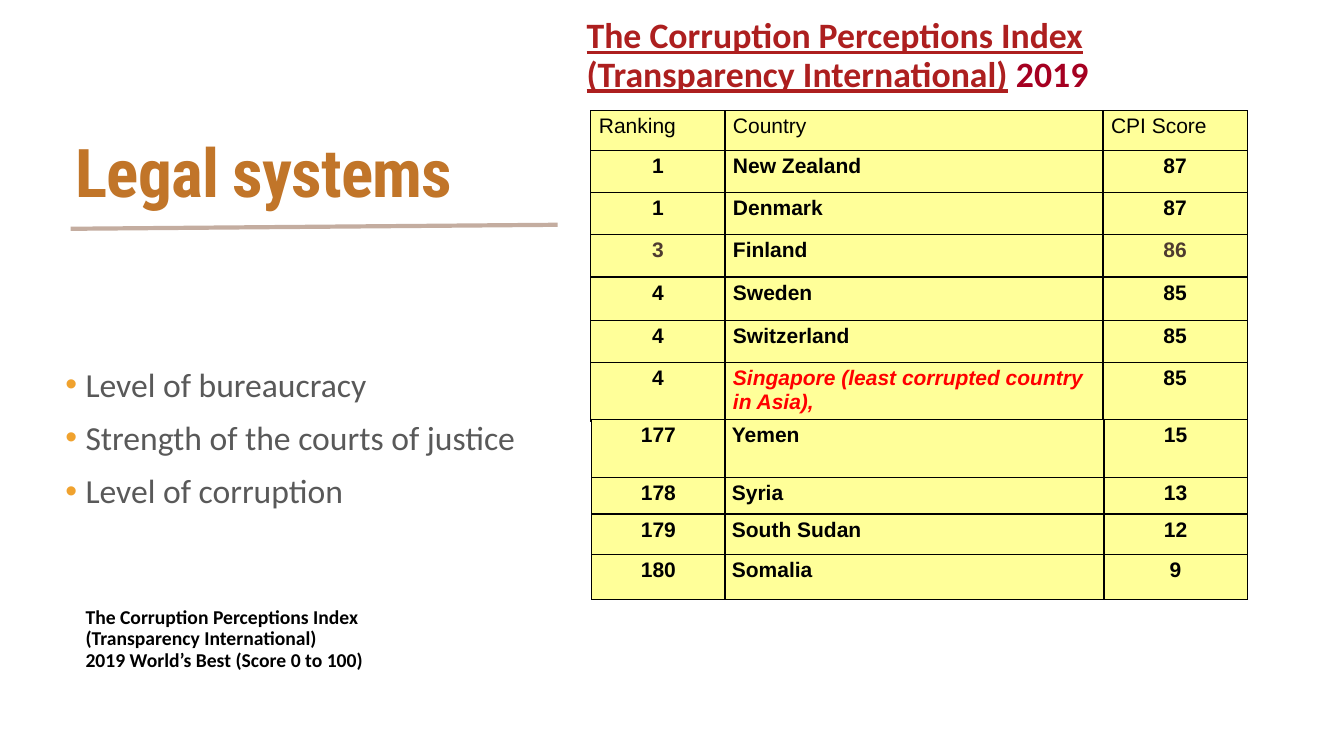
from dataclasses import dataclass

from lxml.etree import SubElement
from pptx import Presentation
from pptx.dml.color import RGBColor
from pptx.enum.shapes import MSO_CONNECTOR
from pptx.enum.text import MSO_ANCHOR, MSO_AUTO_SIZE, PP_ALIGN
from pptx.oxml.ns import qn
from pptx.util import Emu, Pt

PX = 9144
COLORS = {
    "title": "C17529",
    "rule": "C4ADA0",
    "bullet": "F0A22E",
    "body": "595959",
    "black": "000000",
    "link": "AD1F1F",
    "year": "A50021",
    "cell": "FFFF99",
    "brown": "4E3B30",
    "red": "FF0000",
}


@dataclass(frozen=True)
class Box:
    left: int
    top: int
    width: int
    height: int

    def emu(self) -> tuple:
        return tuple(px(v) for v in (self.left, self.top, self.width, self.height))


@dataclass(frozen=True)
class Style:
    size: float
    color: str
    font: str = "Calibri"
    bold: bool = False
    italic: bool = False
    underline: bool = False


@dataclass(frozen=True)
class Country:
    rank: str
    name: str
    score: str
    number_color: str = "black"
    name_color: str = "black"
    bold: bool = True
    italic: bool = False


@dataclass(frozen=True)
class Ranking:
    left: int
    top: int
    cols: tuple
    rows: tuple
    margin: int
    countries: tuple


RANKINGS = (
    Ranking(586, 110, (133, 375, 143), (39, 42, 42, 42, 43, 42, 57), 8, (
        Country("Ranking", "Country", "CPI Score", bold=False),
        Country("1", "New Zealand", "87"),
        Country("1", "Denmark", "87"),
        Country("3", "Finland", "86", number_color="brown"),
        Country("4", "Sweden", "85"),
        Country("4", "Switzerland", "85"),
        Country("4", "Singapore (least corrupted country in Asia),", "85",
                name_color="red", italic=True),
    )),
    Ranking(587, 416, (132, 376, 142), (58, 36, 40, 45), 7, (
        Country("177", "Yemen", "15"),
        Country("178", "Syria", "13"),
        Country("179", "South Sudan", "12"),
        Country("180", "Somalia", "9"),
    )),
)


def px(value: int) -> Emu:
    return Emu(value * PX)


def rgb(name: str) -> RGBColor:
    return RGBColor.from_string(COLORS[name])


def format_run(r, style: Style) -> None:
    f = r.font
    f.size, f.name = Pt(style.size), style.font
    f.bold, f.italic, f.underline = style.bold, style.italic, style.underline
    f.color.rgb = rgb(style.color)


def add_text(slide, box: Box, lines: tuple, style: Style):
    tf = slide.shapes.add_textbox(*box.emu()).text_frame
    tf.word_wrap = True
    for i, line in enumerate(lines):
        p = tf.paragraphs[0] if i == 0 else tf.add_paragraph()
        p.text = line
        p.line_spacing = 0.9
        format_run(p.runs[0], style)
    return tf


def add_bullet(p) -> None:
    pPr = p._p.get_or_add_pPr()
    pPr.set("marL", str(px(20)))
    pPr.set("indent", str(px(-20)))
    color = SubElement(pPr, qn("a:buClr"))
    SubElement(color, qn("a:srgbClr"), val=COLORS["bullet"])
    SubElement(pPr, qn("a:buFont"), typeface="Arial")
    SubElement(pPr, qn("a:buChar"), char="•")


def add_borders(cell) -> None:
    tcPr = cell._tc.get_or_add_tcPr()
    for side in ("lnL", "lnR", "lnT", "lnB"):
        ln = SubElement(tcPr, qn(f"a:{side}"), w=str(Pt(1)))
        fill = SubElement(ln, qn("a:solidFill"))
        SubElement(fill, qn("a:srgbClr"), val=COLORS["black"])


def fill_cell(cell, text: str, style: Style, align, margin: int) -> None:
    cell.margin_left = cell.margin_right = px(margin)
    cell.margin_top = cell.margin_bottom = px(4)
    add_borders(cell)
    cell.fill.solid()
    cell.fill.fore_color.rgb = rgb("cell")
    p = cell.text_frame.paragraphs[0]
    p.text = text
    p.alignment = align
    format_run(p.runs[0], style)


def add_ranking(slide, ranking: Ranking) -> None:
    box = Box(ranking.left, ranking.top, sum(ranking.cols), sum(ranking.rows))
    table = slide.shapes.add_table(
        len(ranking.rows), len(ranking.cols), *box.emu()).table
    table.first_row = table.horz_banding = False
    for col, width in zip(table.columns, ranking.cols):
        col.width = px(width)
    for row, height, c in zip(table.rows, ranking.rows, ranking.countries):
        row.height = px(height)
        number = Style(15, c.number_color, "Arial", c.bold)
        name = Style(15, c.name_color, "Arial", c.bold, c.italic)
        align = PP_ALIGN.CENTER if c.bold else PP_ALIGN.LEFT
        entries = ((c.rank, number, align), (c.name, name, PP_ALIGN.LEFT),
                   (c.score, number, align))
        for cell, entry in zip(row.cells, entries):
            fill_cell(cell, *entry, ranking.margin)


def add_title(slide) -> None:
    title = slide.shapes.title
    title.left, title.top, title.width, title.height = Box(65, 92, 576, 164).emu()
    tf = title.text_frame
    tf.text = "Legal systems"
    tf.auto_size = MSO_AUTO_SIZE.NONE
    tf.vertical_anchor = MSO_ANCHOR.MIDDLE
    p = tf.paragraphs[0]
    p.alignment = PP_ALIGN.LEFT
    p.line_spacing = 0.9
    format_run(p.runs[0], Style(48, "title", "Roboto Condensed", True))
    p.runs[0].font._element.set("spc", "-60")


def add_rule(slide) -> None:
    rule = slide.shapes.add_connector(
        MSO_CONNECTOR.STRAIGHT, px(70), px(227), px(553), px(223))
    rule.line.color.rgb = rgb("rule")
    rule.line.width = Pt(3)
    SubElement(rule._element.spPr, qn("a:effectLst"))


def main() -> None:
    prs = Presentation()
    prs.slide_width, prs.slide_height = px(1333), px(750)
    slide = prs.slides.add_slide(prs.slide_layouts[5])
    add_title(slide)
    add_rule(slide)

    factors = add_text(slide, Box(55, 341, 520, 190), (
        "Level of bureaucracy",
        "Strength of the courts of justice",
        "Level of corruption",
    ), Style(24, "body"))
    factors.vertical_anchor = MSO_ANCHOR.MIDDLE
    for i, p in enumerate(factors.paragraphs):
        add_bullet(p)
        if i:
            p.space_before = Pt(12)

    note = add_text(slide, Box(75, 598, 301, 74), (
        "The Corruption Perceptions Index",
        "(Transparency International)",
        "2019 World’s Best (Score 0 to 100)",
    ), Style(14, "black", bold=True))
    note.auto_size = MSO_AUTO_SIZE.SHAPE_TO_FIT_TEXT

    heading = add_text(slide, Box(572, 13, 690, 113), (
        "The Corruption Perceptions Index (Transparency International)",
    ), Style(25.5, "link", bold=True, underline=True))
    r = heading.paragraphs[0].add_run()
    r.text = " 2019"
    format_run(r, Style(25.5, "year", bold=True))

    for ranking in RANKINGS:
        add_ranking(slide, ranking)
    prs.save("out.pptx")


if __name__ == "__main__":
    main()
